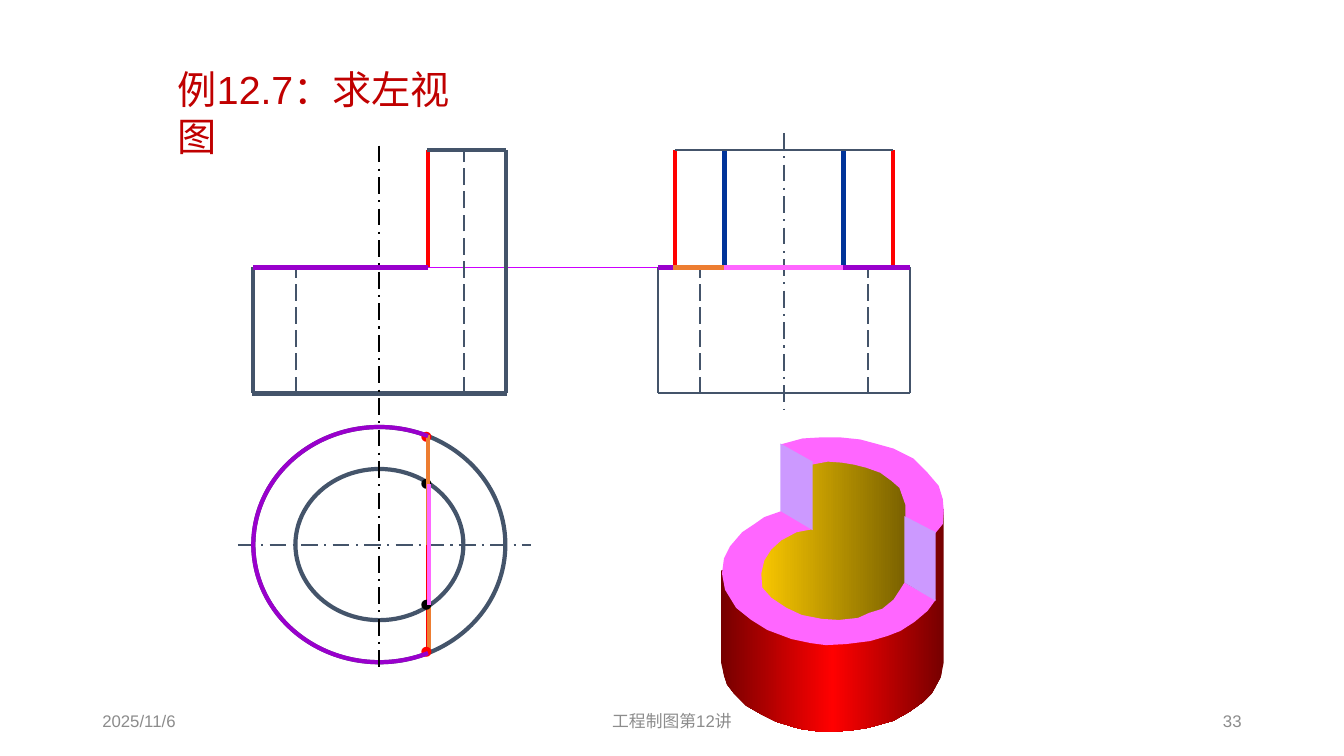
from copy import deepcopy
from math import atan2, degrees
from pptx import Presentation
from pptx.dml.color import RGBColor as RGB
from pptx.enum.dml import MSO_LINE as Dash
from pptx.enum.shapes import MSO_CONNECTOR as Link, MSO_SHAPE as Form
from pptx.enum.text import MSO_ANCHOR as Anchor, PP_ALIGN as Align
from pptx.oxml.ns import qn
from pptx.util import Pt
from lxml.etree import SubElement as Sub

INK = {
    "slate": "44546A", "red": "FF0000", "title": "C00000", "gray": "8C8C8C",
    "blue": "003399", "orange": "ED7D31", "purple": "9900CC", "guide": "CC00FF",
    "pink": "FF66FF", "lilac": "CC99FF", "black": "000000",
    "maroon": "760000", "gold": "FFCC00", "bronze": "765E00",
}
AXIS, HIDDEN = Dash.LONG_DASH_DOT, Dash.LONG_DASH
ARIAL, CJK = "Arial", "Noto Sans CJK SC"


def ink(name):
    return RGB.from_string(INK[name])


def text(shapes, box, words, size=12, color="gray", font=ARIAL,
         align=Align.LEFT, anchor=Anchor.MIDDLE, wrap=True):
    frame = shapes.add_textbox(*map(Pt, box)).text_frame
    frame.word_wrap = wrap
    frame.vertical_anchor = anchor
    para = frame.paragraphs[0]
    para.alignment = align
    run = para.add_run()
    run.text = words
    run.font.size = Pt(size)
    run.font.name = font
    run.font.color.rgb = ink(color)
    Sub(run.font._element, qn("a:ea")).set("typeface", CJK)


def line(shapes, box, start, end, color="slate", width=3, dash=None):
    left, top = box[:2]
    ends = (left + start[0], top + start[1], left + end[0], top + end[1])
    link = shapes.add_connector(Link.STRAIGHT, *map(Pt, ends))
    link.line.color.rgb = ink(color)
    link.line.width = Pt(width)
    if dash:
        link.line.dash_style = dash
    Sub(link._element.spPr, qn("a:effectLst"))


def curve(shapes, form, box, color="slate"):
    shape = shapes.add_shape(form, *map(Pt, box))
    shape.shadow.inherit = False
    shape.fill.background()
    shape.line.color.rgb = ink(color)
    shape.line.width = Pt(3)
    return shape


def patch(shapes, box, points, colors):
    pen = shapes.build_freeform(*points[0], scale=Pt(0.72))
    pen.add_line_segments(points[1:], close=True)
    shape = pen.convert_to_shape(Pt(box[0]), Pt(box[1]))
    shape.shadow.inherit = False
    shape.line.fill.background()
    if len(colors) == 1:
        shape.fill.solid()
        shape.fill.fore_color.rgb = ink(colors[0])
        return
    shape.fill.gradient()
    shape.fill.gradient_angle = 0
    stops = next(shape._element.iter(qn("a:gsLst")))
    while len(stops) < len(colors):
        stops.append(deepcopy(stops[0]))
    for i, stop in enumerate(shape.fill.gradient_stops):
        stop.position = i / (len(colors) - 1)
        stop.color.rgb = ink(colors[i])


def front(shapes, box):
    wide, high = box[2:]
    step, cut = 84, 125
    line(shapes, box, (-1, high), (wide + 1, high))
    line(shapes, box, (wide, 0), (wide, high))
    line(shapes, box, (cut, 0), (cut, step), "red")
    line(shapes, box, (0, step), (0, high))
    line(shapes, box, (cut - 1, 0), (wide, 0))
    for x, y in ((30.5, step), (150.5, 0)):
        line(shapes, box, (x, high), (x, y), width=1.5, dash=HIDDEN)
    line(shapes, box, (cut, step), (0, step), "purple")


def plan(shapes, box):
    left, top, wide, high = box
    mid, cut = high / 2, 125
    rim, bore = 78, 43
    line(shapes, box, (cut, mid - rim), (cut, mid + rim), "red")
    curve(shapes, Form.OVAL, (left + 30, top + 30, wide - 60, high - 60))
    curve(shapes, Form.OVAL, box)
    line(shapes, box, (-11, mid), (wide + 18, mid), width=1.5, dash=AXIS)
    line(shapes, box, (cut + 0.5, mid), (cut + 0.5, mid + rim), "orange")
    for reach, color in ((bore, "black"), (rim - 1, "red")):
        for y in (mid - reach, mid + reach):
            text(shapes, (left + cut - 12.5, top + y - 8.5, 22, 17), "●",
                 size=8, color=color, font=CJK, wrap=False)
    line(shapes, box, (cut - 0.5, mid - rim), (cut - 0.5, mid), "orange")
    arc = curve(shapes, Form.ARC, box, "purple")
    turn = degrees(atan2(rim, cut - wide / 2))
    arc.adjustments[0] = turn * 0.6
    arc.adjustments[1] = (360 - turn) * 0.6
    line(shapes, box, (cut + 0.3, mid - bore), (cut + 0.3, mid + bore), "pink")


def side(shapes, box):
    wide, high = box[2:]
    step, mid = 84, wide / 2
    outer, inner, bore = 78, 42.5, 60
    line(shapes, box, (mid, -12), (mid, high + 11), width=1.5, dash=AXIS)
    for sign in (-1, 1):
        face, edge = mid + sign * outer, mid + sign * inner
        hole, wall = mid + sign * bore, mid + sign * mid
        line(shapes, box, (face, step), (face, 0), "red")
        line(shapes, box, (wall, step), (wall, high), width=1.5)
        line(shapes, box, (hole, high), (hole, step), width=1.5, dash=HIDDEN)
        line(shapes, box, (edge, step), (edge, 0), "blue")
    line(shapes, box, (mid - outer, 0), (mid + outer, 0), width=1.5)
    line(shapes, box, (0, high), (wide, high), width=1.5)
    line(shapes, box, (0, step), (wide, step), "purple")
    line(shapes, box, (mid - outer - 1, step), (mid - inner, step), "orange")
    line(shapes, box, (mid - inner, step), (mid + inner, step), "pink")


def solid(shapes, box):
    wall = [(0, 132), (0, 223), (3, 236), (6, 245), (13, 254), (25, 266),
            (39, 274), (55, 282), (78, 289), (100, 292), (126, 291),
            (146, 288), (171, 281), (187, 272), (201, 262), (209, 254),
            (218, 238), (221, 223), (221, 71)]
    bore = [(89, 21), (89, 87), (46, 99), (32, 141), (60, 175), (112, 190),
            (163, 183), (188, 147), (187, 47), (159, 21), (101, 10)]
    ledge = [(60, 73), (43, 79), (33, 86), (21, 94), (9, 108), (3, 120),
             (1, 135), (4, 151), (15, 169), (30, 181), (46, 191), (70, 200),
             (89, 204), (104, 206), (124, 205), (148, 202), (165, 197),
             (178, 192), (192, 183), (205, 172), (213, 161), (182, 144),
             (177, 152), (171, 161), (160, 170), (147, 174), (136, 179),
             (117, 181), (100, 180), (80, 176), (65, 169), (50, 159),
             (41, 149), (40, 135), (43, 122), (50, 111), (60, 102),
             (75, 94), (91, 91)]
    rim = [(59, 7), (81, 1), (98, 0), (119, 0), (138, 2), (153, 6),
           (171, 11), (191, 21), (204, 34), (216, 48), (220, 61), (221, 73),
           (220, 86), (211, 97), (183, 80), (183, 67), (177, 50), (169, 43),
           (158, 35), (144, 30), (132, 27), (120, 25), (106, 24), (90, 27)]
    near = [(59, 6), (91, 24), (91, 92), (59, 73)]
    far = [(182, 78), (213, 94), (213, 162), (182, 144)]
    for points, colors in (
            (wall, ("maroon", "red", "maroon")), (bore, ("gold", "bronze")),
            (ledge, ("pink",)), (rim, ("pink",)),
            (near, ("lilac",)), (far, ("lilac",))):
        patch(shapes, box, points, colors)


def footer(shapes, box):
    left, top, wide, high = box
    text(shapes, (left, top, 216, high), "2025/11/6")
    text(shapes, (left + 252, top, 324, high), "工程制图第12讲",
         align=Align.CENTER)
    text(shapes, (left + wide - 216, top, 216, high), "33", align=Align.RIGHT)


def main():
    deck = Presentation()
    deck.slide_width, deck.slide_height = Pt(960), Pt(540)
    shapes = deck.slides.add_slide(deck.slide_layouts[6]).shapes
    footer(shapes, (66, 500.5, 828, 29))
    text(shapes, (120, 43, 235, 41), "例12.7：求左视图", size=28,
         color="title", anchor=Anchor.TOP)
    line(shapes, (306, 191), (0, 0), (164, 0), "guide", width=0.75)
    front(shapes, (181, 107, 180.5, 174))
    side(shapes, (470, 107, 180, 174))
    plan(shapes, (181, 305, 180, 168))
    line(shapes, (271, 104), (0, 0), (0, 376), "black", width=1.5, dash=AXIS)
    solid(shapes, (515, 312.5))
    deck.save("out.pptx")


if __name__ == "__main__":
    main()
